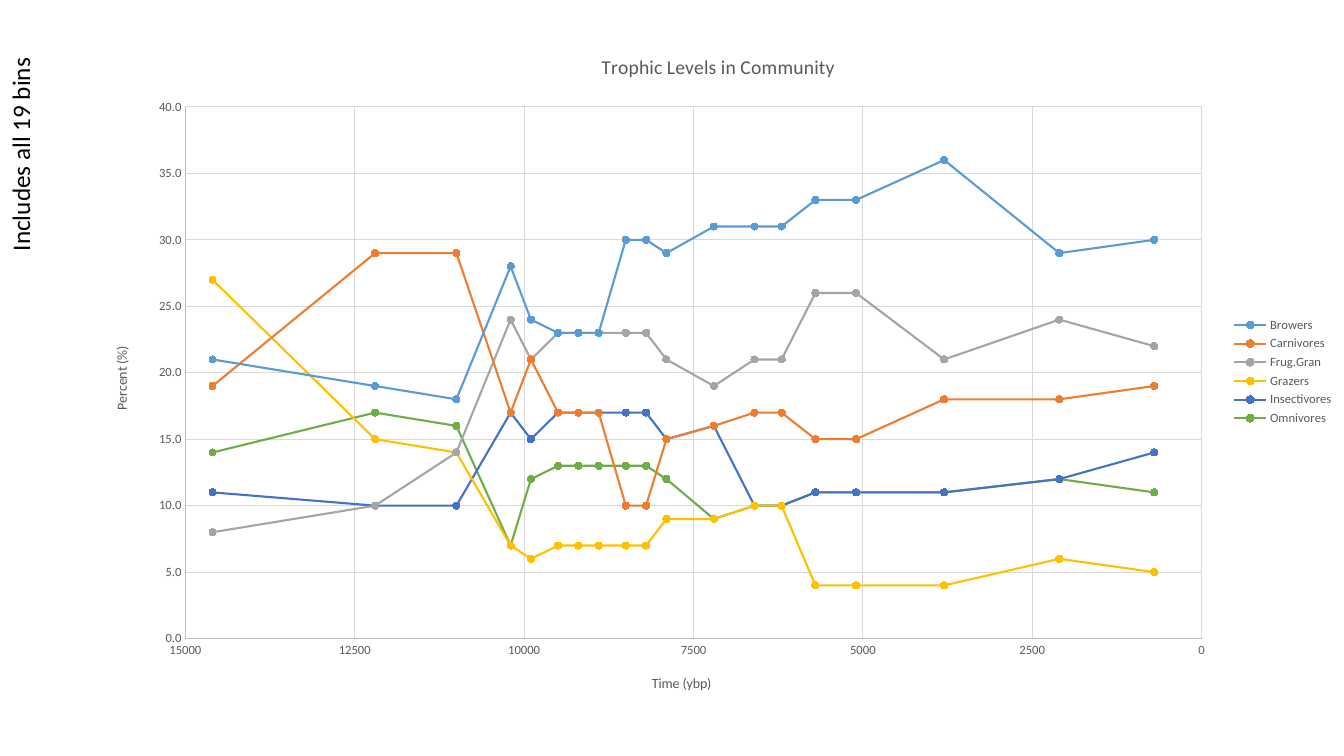
from lxml import etree
from pptx import Presentation
from pptx import util as u
from pptx.chart.data import XyChartData
from pptx.dml.color import RGBColor
from pptx.enum import chart as charts, text
from pptx.oxml.ns import qn

COLORS = {
    "black": "000000",
    "label": "595959",
    "axis": "BFBFBF",
    "grid": "D9D9D9",
    "Browers": "5B9BD5",
    "Carnivores": "ED7D31",
    "Frug.Gran": "A5A5A5",
    "Grazers": "FFC000",
    "Insectivores": "4472C4",
    "Omnivores": "70AD47",
}
FONT = "Calibri"

YEARS = [700, 2100, 3800, 5100, 5700, 6200, 6600, 7200, 7900, 8200,
         8500, 8900, 9200, 9500, 9900, 10200, 11000, 12200, 14600]
PERCENTS = {
    "Browers": [30, 29, 36, 33, 33, 31, 31, 31, 29, 30,
                30, 23, 23, 23, 24, 28, 18, 19, 21],
    "Carnivores": [19, 18, 18, 15, 15, 17, 17, 16, 15, 10,
                   10, 17, 17, 17, 21, 17, 29, 29, 19],
    "Frug.Gran": [22, 24, 21, 26, 26, 21, 21, 19, 21, 23,
                  23, 23, 23, 23, 21, 24, 14, 10, 8],
    "Grazers": [5, 6, 4, 4, 4, 10, 10, 9, 9, 7,
                7, 7, 7, 7, 6, 7, 14, 15, 27],
    "Insectivores": [14, 12, 11, 11, 11, 10, 10, 16, 15, 17,
                     17, 17, 17, 17, 15, 17, 10, 10, 11],
    "Omnivores": [11, 12, 11, 11, 11, 10, 10, 9, 12, 13,
                  13, 13, 13, 13, 12, 7, 16, 17, 14],
}


def color(name):
    return RGBColor.from_string(COLORS[name])


def style_font(font, size, color_name):
    font.name = FONT
    font.size = u.Pt(size)
    font.bold = False
    font.color.rgb = color(color_name)


def style_line(line, color_name, width):
    line.color.rgb = color(color_name)
    line.width = u.Pt(width)


def write_text(frame, content, size=18, color_name="black"):
    paragraph = frame.paragraphs[0]
    run = paragraph.add_run()
    run.text = content
    style_font(run.font, size, color_name)


def place(element, index, **percentages):
    layout = element.find(qn("c:layout"))
    if layout is None:
        layout = etree.Element(qn("c:layout"))
        element.insert(index, layout)
    for child in list(layout):
        layout.remove(child)
    manual = etree.SubElement(layout, qn("c:manualLayout"))
    settings = {"xMode": "edge", "yMode": "edge"}
    if "w" in percentages:
        settings = {"layoutTarget": "inner", **settings}
    settings.update((tag, value / 100) for tag, value in percentages.items())
    for tag, value in settings.items():
        etree.SubElement(manual, qn(f"c:{tag}")).set("val", str(value))


def style_axis(axis, title, maximum, major, number_format, left, top):
    axis.minimum_scale = 0
    axis.maximum_scale = maximum
    axis.major_unit = major
    axis.major_tick_mark = charts.XL_TICK_MARK.NONE
    axis.minor_tick_mark = charts.XL_TICK_MARK.NONE
    axis.tick_labels.number_format = number_format
    axis.tick_labels.number_format_is_linked = False
    style_font(axis.tick_labels.font, 9, "label")
    style_line(axis.format.line, "axis", 0.75)
    axis.has_major_gridlines = True
    style_line(axis.major_gridlines.format.line, "grid", 0.75)
    write_text(axis.axis_title.text_frame, title, size=10, color_name="label")
    place(axis.axis_title._element, 1, x=left, y=top)


def style_series(series):
    series.smooth = False
    style_line(series.format.line, series.name, 1.5)
    marker = series.marker
    marker.style = charts.XL_MARKER_STYLE.CIRCLE
    marker.size = 5
    marker.format.fill.solid()
    marker.format.fill.fore_color.rgb = color(series.name)
    style_line(marker.format.line, series.name, 0.75)


def add_trophic_chart(slide):
    data = XyChartData()
    for name, percents in PERCENTS.items():
        series = data.add_series(name)
        for year, percent in zip(YEARS, percents):
            series.add_data_point(year, percent)
    frame = slide.shapes.add_chart(
        charts.XL_CHART_TYPE.XY_SCATTER_LINES,
        u.Cm(2.33), u.Cm(0.78), u.Cm(31.54), u.Cm(17.17), data)
    chart = frame.chart
    style_font(chart.font, 10, "black")
    chart.plots[0].vary_by_categories = False
    chart.has_title = True
    write_text(chart.chart_title.text_frame, "Trophic Levels in Community",
               size=14, color_name="label")
    chart.chart_title.include_in_layout = False
    chart.has_legend = True
    chart.legend.position = charts.XL_LEGEND_POSITION.RIGHT
    chart.legend.include_in_layout = False
    style_font(chart.legend.font, 9, "label")

    style_axis(chart.category_axis, "Time (ybp)", 15000, 2500, "General", 44.5, 94)
    style_axis(chart.value_axis, "Percent (%)", 40, 5, "0.0", 1.4, 45.9)
    chart.category_axis.reverse_order = True
    chart.category_axis.crosses = charts.XL_AXIS_CROSSES.MAXIMUM
    plot_area = chart._chartSpace.find(f".//{qn('c:plotArea')}")
    place(plot_area, 0, x=7.43, y=11.15, w=81.2, h=78.05)
    for series in chart.plots[0].series:
        style_series(series)


def add_side_note(slide, content):
    box = slide.shapes.add_textbox(u.Cm(-2.21), u.Cm(3.35), u.Cm(5.44), u.Cm(1.02))
    box.rotation = 270
    box.text_frame.word_wrap = False
    box.text_frame.auto_size = text.MSO_AUTO_SIZE.SHAPE_TO_FIT_TEXT
    write_text(box.text_frame, content)


def main():
    presentation = Presentation()
    presentation.slide_width = u.Cm(33.87)
    presentation.slide_height = u.Cm(19.05)
    slide = presentation.slides.add_slide(presentation.slide_layouts[6])
    add_trophic_chart(slide)
    add_side_note(slide, "Includes all 19 bins")
    presentation.save("out.pptx")


if __name__ == "__main__":
    main()
